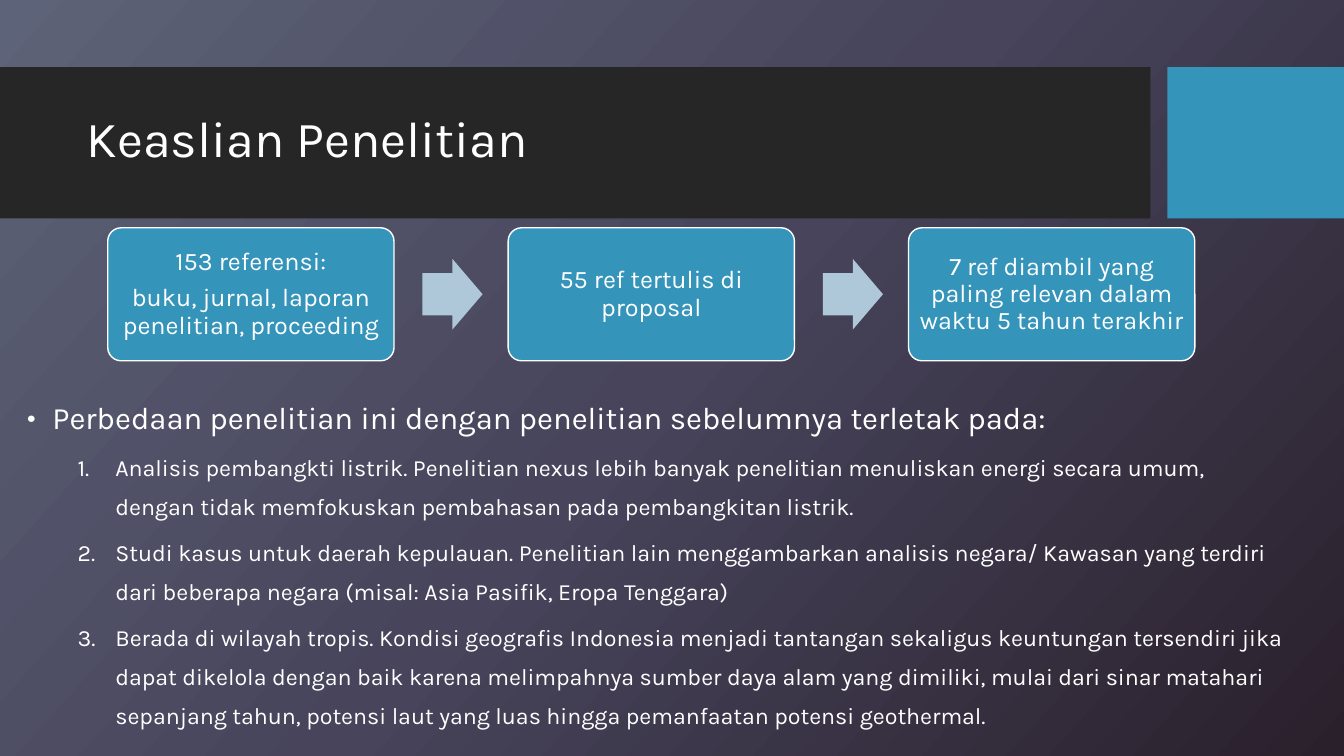
from copy import deepcopy
from dataclasses import dataclass

from lxml import etree
from pptx import Presentation
from pptx.dml.color import RGBColor
from pptx.enum import shapes, text
from pptx.oxml.ns import qn
from pptx.util import Pt


@dataclass(frozen=True)
class Theme:
    font: str = "Karla"
    white: str = "FFFFFF"
    band: str = "262626"
    blue: str = "3494BA"
    pale: str = "AEC8D9"
    back: tuple = ((0, "5D6378"), (0.5, "47445B"), (1, "2A202C"))
    head: float = 36
    lead: float = 22.2
    item: float = 16.6
    step: float = 18


@dataclass(frozen=True)
class Box:
    left: float
    top: float
    width: float
    height: float

    def place(self, shape) -> None:
        shape.left, shape.top = Pt(self.left), Pt(self.top)
        shape.width, shape.height = Pt(self.width), Pt(self.height)


THEME = Theme()
KIND = shapes.MSO_SHAPE
TITLE = "Keaslian Penelitian"
STEPS = (
    ("153 referensi:", "buku, jurnal, laporan penelitian, proceeding"),
    ("55 ref tertulis di proposal",),
    ("7 ref diambil yang paling relevan dalam waktu 5 tahun terakhir",),
)
LEAD = "Perbedaan penelitian ini dengan penelitian sebelumnya terletak pada:"
ITEMS = (
    "Analisis pembangkti listrik. Penelitian nexus lebih banyak penelitian "
    "menuliskan energi secara umum, dengan tidak memfokuskan pembahasan pada "
    "pembangkitan listrik.",
    "Studi kasus untuk daerah kepulauan. Penelitian lain menggambarkan analisis "
    "negara/ Kawasan yang terdiri dari beberapa negara (misal: Asia Pasifik, "
    "Eropa Tenggara)",
    "Berada di wilayah tropis. Kondisi geografis Indonesia menjadi tantangan "
    "sekaligus keuntungan tersendiri jika dapat dikelola dengan baik karena "
    "melimpahnya sumber daya alam yang dimiliki, mulai dari sinar matahari "
    "sepanjang tahun, potensi laut yang luas hingga pemanfaatan potensi "
    "geothermal.",
)
FIRST = Box(77, 162.7, 204.5, 95)
ARROW = Box(301.7, 185, 43, 50.4)
PITCH = 286


def paint(slide) -> None:
    """Fill the background with the three-stop gradient."""
    fill = slide.background.fill
    fill.gradient()
    fill.gradient_angle = 318
    stops = slide.element.xpath(".//a:gsLst")[0]
    stops.insert(1, deepcopy(stops[0]))
    for stop, (spot, tint) in zip(fill.gradient_stops, THEME.back):
        stop.position = spot
        stop.color.rgb = RGBColor.from_string(tint)


def draw(slide, kind, box: Box, tint: str):
    shape = slide.shapes.add_shape(kind, 0, 0, 0, 0)
    box.place(shape)
    shape.shadow.inherit = False
    shape.fill.solid()
    shape.fill.fore_color.rgb = RGBColor.from_string(tint)
    shape.line.fill.background()
    return shape


def write(frame, lines: tuple, size: float, align, space: float) -> list:
    """Put one run in each paragraph and return the paragraphs."""
    paras = []
    for i, line in enumerate(lines):
        para = frame.add_paragraph() if i else frame.paragraphs[0]
        para.alignment, para.line_spacing = align, space
        run = para.add_run()
        run.text = line
        run.font.name, run.font.size = THEME.font, Pt(size)
        run.font.color.rgb = RGBColor.from_string(THEME.white)
        paras.append(para)
    return paras


def mark(para, hang: float, left: float, tag: str, **attrs: str) -> None:
    """Give a paragraph its indent and its bullet or number."""
    props = para._p.get_or_add_pPr()
    props.set("marL", str(Pt(left)))
    props.set("indent", str(Pt(-hang)))
    etree.SubElement(props, qn("a:buFont")).set("typeface", THEME.font)
    etree.SubElement(props, qn(tag), attrs)


def add_head(slide) -> None:
    title = slide.shapes.title
    Box(54.7, 72, 676.8, 57.6).place(title)
    frame = title.text_frame
    frame.auto_size = text.MSO_AUTO_SIZE.NONE
    frame.vertical_anchor = text.MSO_ANCHOR.MIDDLE
    write(frame, (TITLE,), THEME.head, text.PP_ALIGN.LEFT, 0.9)
    bars = ((Box(0, 48, 821.8, 108), THEME.band),
            (Box(833.8, 48, 126.2, 108), THEME.blue))
    for box, tint in bars:
        title.element.addprevious(draw(slide, KIND.RECTANGLE, box, tint).element)


def add_list(slide) -> None:
    body = slide.placeholders[1]
    Box(12.2, 270, 914.4, 267).place(body)
    frame = body.text_frame
    frame.auto_size = text.MSO_AUTO_SIZE.NONE
    lead, *items = write(frame, (LEAD, *ITEMS), THEME.item, text.PP_ALIGN.LEFT, 1.4)
    lead.runs[0].font.size = Pt(THEME.lead)
    lead.space_before = Pt(10)
    mark(lead, 18, 18, "a:buChar", char="•")
    for item in items:
        item.level = 1
        item.space_before = Pt(5)
        mark(item, 27, 63, "a:buAutoNum", type="arabicPeriod")


def add_flow(slide) -> None:
    for i, lines in enumerate(STEPS):
        box = Box(FIRST.left + i * PITCH, FIRST.top, FIRST.width, FIRST.height)
        card = draw(slide, KIND.ROUNDED_RECTANGLE, box, THEME.blue)
        card.adjustments[0] = 0.1
        card.line.color.rgb = RGBColor.from_string(THEME.white)
        card.line.width = Pt(1)
        frame = card.text_frame
        frame.word_wrap = True
        frame.vertical_anchor = text.MSO_ANCHOR.MIDDLE
        frame.margin_left = frame.margin_right = Pt(5)
        frame.margin_top = frame.margin_bottom = Pt(5)
        paras = write(frame, lines, THEME.step, text.PP_ALIGN.CENTER, 0.9)
        for para in paras:
            para.space_after = Pt(6.3)
        if i < len(STEPS) - 1:
            spot = Box(ARROW.left + i * PITCH, ARROW.top, ARROW.width, ARROW.height)
            arrow = draw(slide, KIND.RIGHT_ARROW, spot, THEME.pale)
            arrow.adjustments[0], arrow.adjustments[1] = 0.6, 0.5


def main() -> None:
    deck = Presentation()
    deck.slide_width, deck.slide_height = Pt(960), Pt(540)
    slide = deck.slides.add_slide(deck.slide_layouts[1])
    paint(slide)
    add_head(slide)
    add_list(slide)
    add_flow(slide)
    deck.save("out.pptx")


if __name__ == "__main__":
    main()
